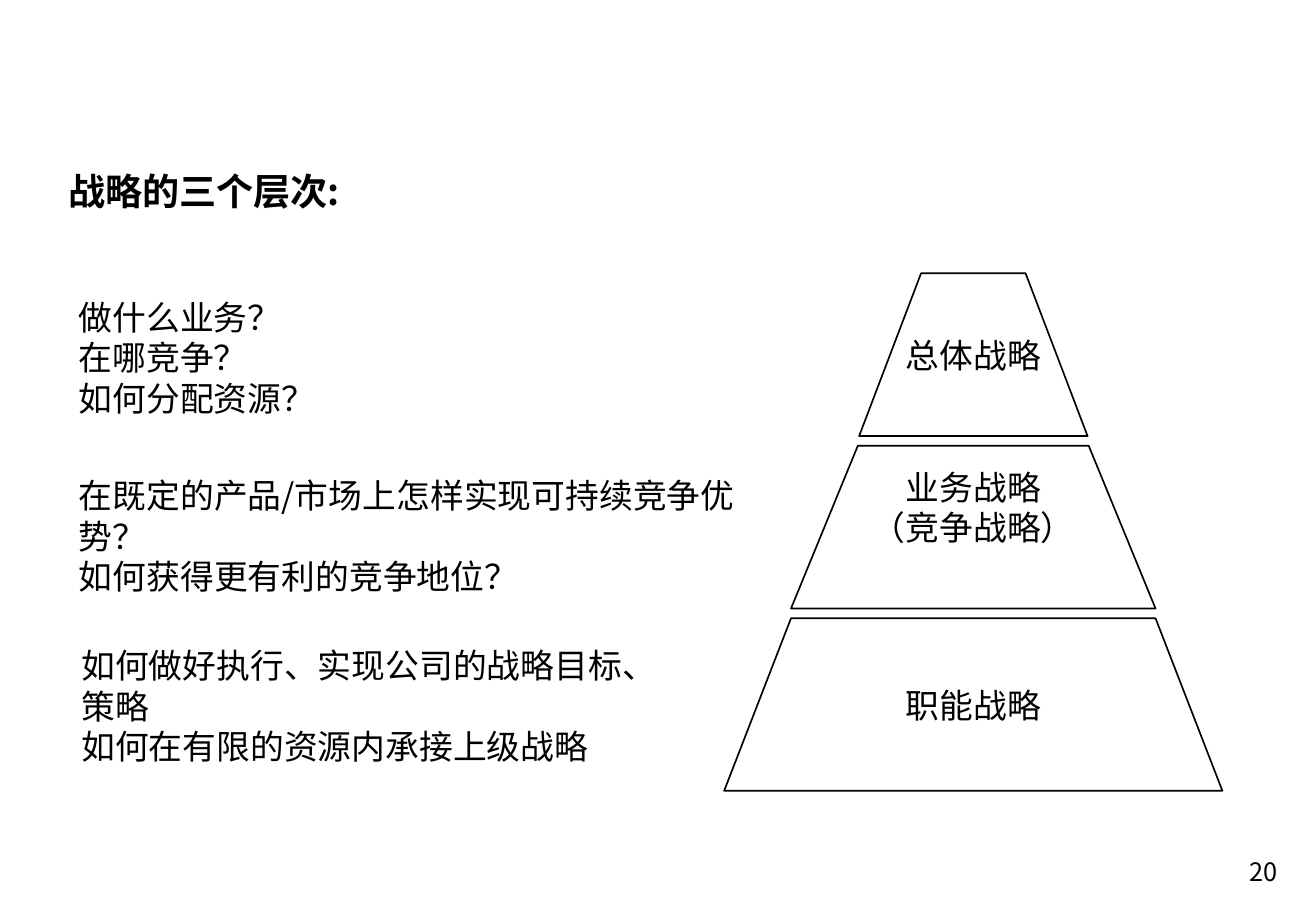
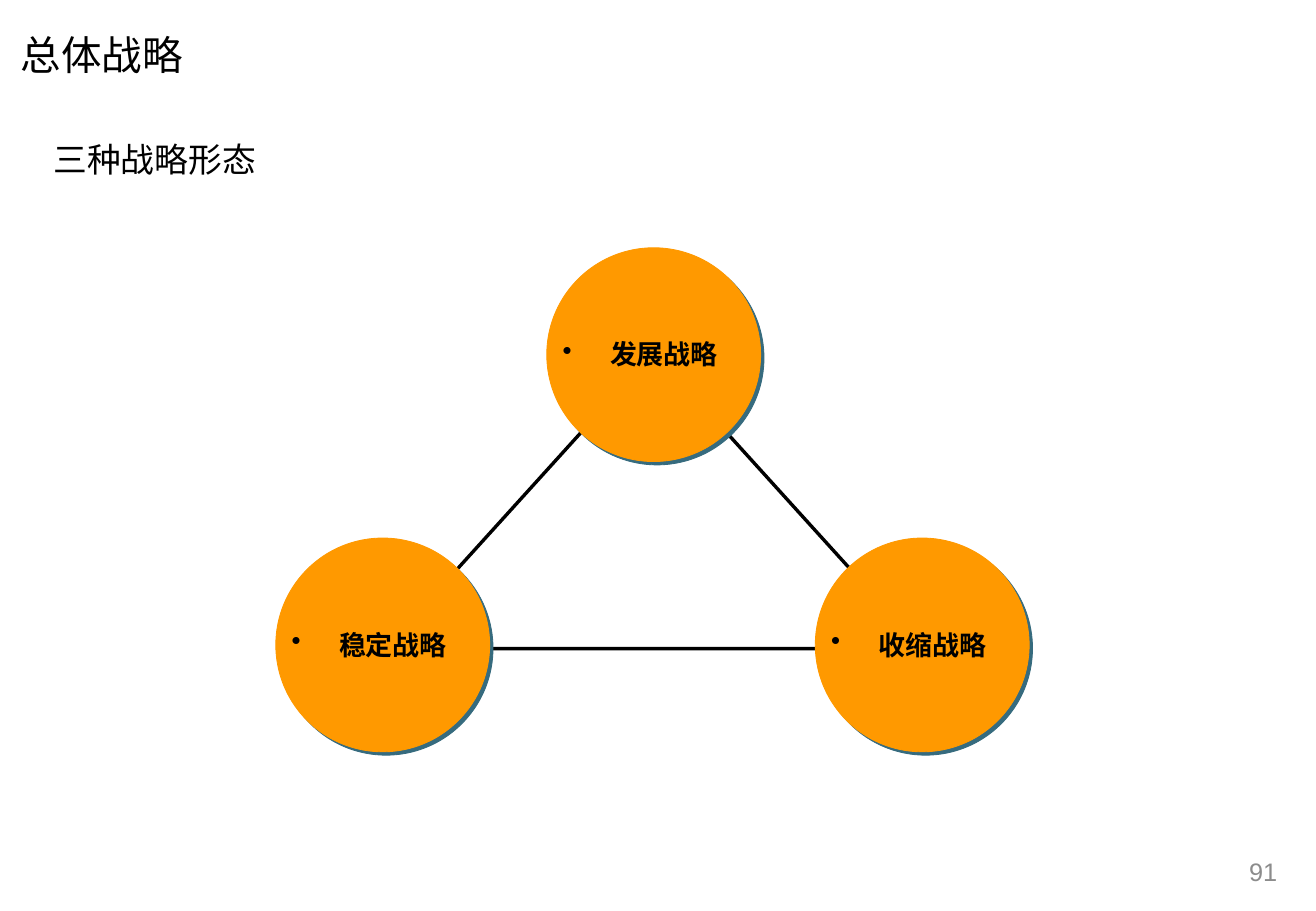
from lxml import etree
from pptx import Presentation
from pptx import util as u
from pptx.dml.color import RGBColor
from pptx.enum import shapes, text
from pptx.oxml.ns import qn

# Shared style: 100 px to the inch
PX = 9144
WIDE, HIGH = 1083, 750
NOTO, ARIAL = "Noto Sans CJK SC", "Arial"
HUE = {"ink": "000000", "paper": "FFFFFF", "disc": "FF9900",
       "shade": "366B7E", "gray": "8C8C8C"}
INSET = (10, 5, 10, 5)
LEFT, MID, RIGHT = text.PP_ALIGN.LEFT, text.PP_ALIGN.CENTER, text.PP_ALIGN.RIGHT
TOP, CENTER = text.MSO_ANCHOR.TOP, text.MSO_ANCHOR.MIDDLE

# Slide 1: levels of the pyramid
LEVELS_TITLE = "战略的三个层次:"
AXIS = 801
LEVELS = [  # top, bottom, half width above, half width below, lines
    (225, 359, 43, 94, ["总体战略"]),
    (367, 501, 95, 150, ["业务战略", "（竞争战略）"]),
    (509, 651, 150, 205, ["职能战略"]),
]
LIFT = 33  # one line of room below a two-line level
ASKS = [  # box, lines
    ((55, 244, 457, 100), ["做什么业务？", "在哪竞争？", "如何分配资源？"]),
    ((55, 391, 568, 100), ["在既定的产品/市场上怎样实现可持续竞争优势？",
                           "如何获得更有利的竞争地位？"]),
    ((57, 531, 481, 100), ["如何做好执行、实现公司的战略目标、策略",
                           "如何在有限的资源内承接上级战略"]),
]

# Slide 2: three forms of strategy
FORMS_TITLE = "总体战略"
FORMS_HEAD = "三种战略形态"
TRI = (317, 290, 442, 244)
DISC = 176
LABEL = (149, 27)
HANG = 39
FORMS = [("发展战略", 450, 204), ("稳定战略", 227, 443), ("收缩战略", 671, 443)]


def rgb(name):
    return RGBColor.from_string(HUE[name])


def emu(box):
    return [u.Emu(n * PX) for n in box]


def write(shape, lines, size, font=NOTO, hue="ink", bold=False, align=LEFT,
          anchor=TOP, wrap=True, inset=INSET, lead=None, bullet=False):
    frame = shape.text_frame
    frame.auto_size = text.MSO_AUTO_SIZE.NONE
    frame.word_wrap = wrap
    frame.vertical_anchor = anchor
    (frame.margin_left, frame.margin_top,
     frame.margin_right, frame.margin_bottom) = emu(inset)
    for i, line in enumerate(lines):
        para = frame.add_paragraph() if i else frame.paragraphs[0]
        para.alignment = align
        if lead:
            para.line_spacing = lead
        if bullet:
            props = para._p.get_or_add_pPr()
            props.set("marL", str(HANG * PX))
            props.set("indent", str(-HANG * PX))
            etree.SubElement(props, qn("a:buChar"), char="•")
        run = para.add_run()
        run.text = line
        run.font.size = u.Pt(size)
        run.font.bold = bold
        run.font.color.rgb = rgb(hue)
        run.font.name = font
        etree.SubElement(run._r.get_or_add_rPr(), qn("a:ea"), typeface=NOTO)


def note(slide, box, lines, size, **style):
    write(slide.shapes.add_textbox(*emu(box)), lines, size, **style)


def paint(shape, fill, line, width):
    shape.shadow.inherit = False
    if fill:
        shape.fill.solid()
        shape.fill.fore_color.rgb = rgb(fill)
    else:
        shape.fill.background()
    shape.line.color.rgb = rgb(line)
    shape.line.width = u.Pt(width)


def shade(shape):
    effects = shape._element.spPr.find(qn("a:effectLst"))
    cast = etree.SubElement(effects, qn("a:outerShdw"), dist=str(u.Pt(2.8)),
                            dir="2700000", algn="ctr", rotWithShape="0")
    etree.SubElement(cast, qn("a:srgbClr"), val=HUE["shade"])


def start(deck, title, box, size, page, font, hue, **style):
    """Add a slide with its title and page number."""
    slide = deck.slides.add_slide(deck.slide_layouts[5])
    head = slide.shapes.title
    head.left, head.top, head.width, head.height = emu(box)
    write(head, [title], size, **style)
    note(slide, (808, 700, 253, 35), [page], 15, font=font, hue=hue, align=RIGHT)
    return slide


def levels(deck):
    slide = start(deck, LEVELS_TITLE, (46, 115, 934, 75), 22, "20", NOTO, "ink",
                  bold=True, lead=1.5)
    # Pyramid
    for top, low, near, far, lines in LEVELS:
        pen = slide.shapes.build_freeform(AXIS - near, top, scale=PX)
        pen.add_line_segments([(AXIS + near, top), (AXIS + far, low),
                               (AXIS - far, low)], close=True)
        part = pen.convert_to_shape()
        paint(part, "paper", "ink", 1)
        room = 5 + LIFT * (len(lines) - 1)
        write(part, lines, 20, align=MID, anchor=CENTER, wrap=False,
              inset=(10, 5, 10, room))
    # Questions
    for box, lines in ASKS:
        note(slide, box, lines, 20, anchor=CENTER)


def forms(deck):
    slide = start(deck, FORMS_TITLE, (7, 20, 155, 50), 24, "91", ARIAL, "gray",
                  wrap=False)
    note(slide, (34, 109, 930, 44), [FORMS_HEAD], 20)
    # Links
    tri = slide.shapes.add_shape(shapes.MSO_SHAPE.ISOSCELES_TRIANGLE, *emu(TRI))
    paint(tri, None, "ink", 2)
    # Discs and labels
    wide, high = LABEL
    for name, x, y in FORMS:
        disc = slide.shapes.add_shape(shapes.MSO_SHAPE.OVAL, *emu((x, y, DISC, DISC)))
        paint(disc, "disc", "disc", 0.5)
        shade(disc)
        box = (x + (DISC - wide) // 2, y + (DISC - high) // 2, wide, high)
        note(slide, box, [name], 16, font=ARIAL, bold=True, anchor=CENTER,
             inset=(0, 0, 0, 0), bullet=True)


def main():
    deck = Presentation()
    deck.slide_width, deck.slide_height = emu((WIDE, HIGH))
    levels(deck)
    forms(deck)
    deck.save("out.pptx")


if __name__ == "__main__":
    main()
